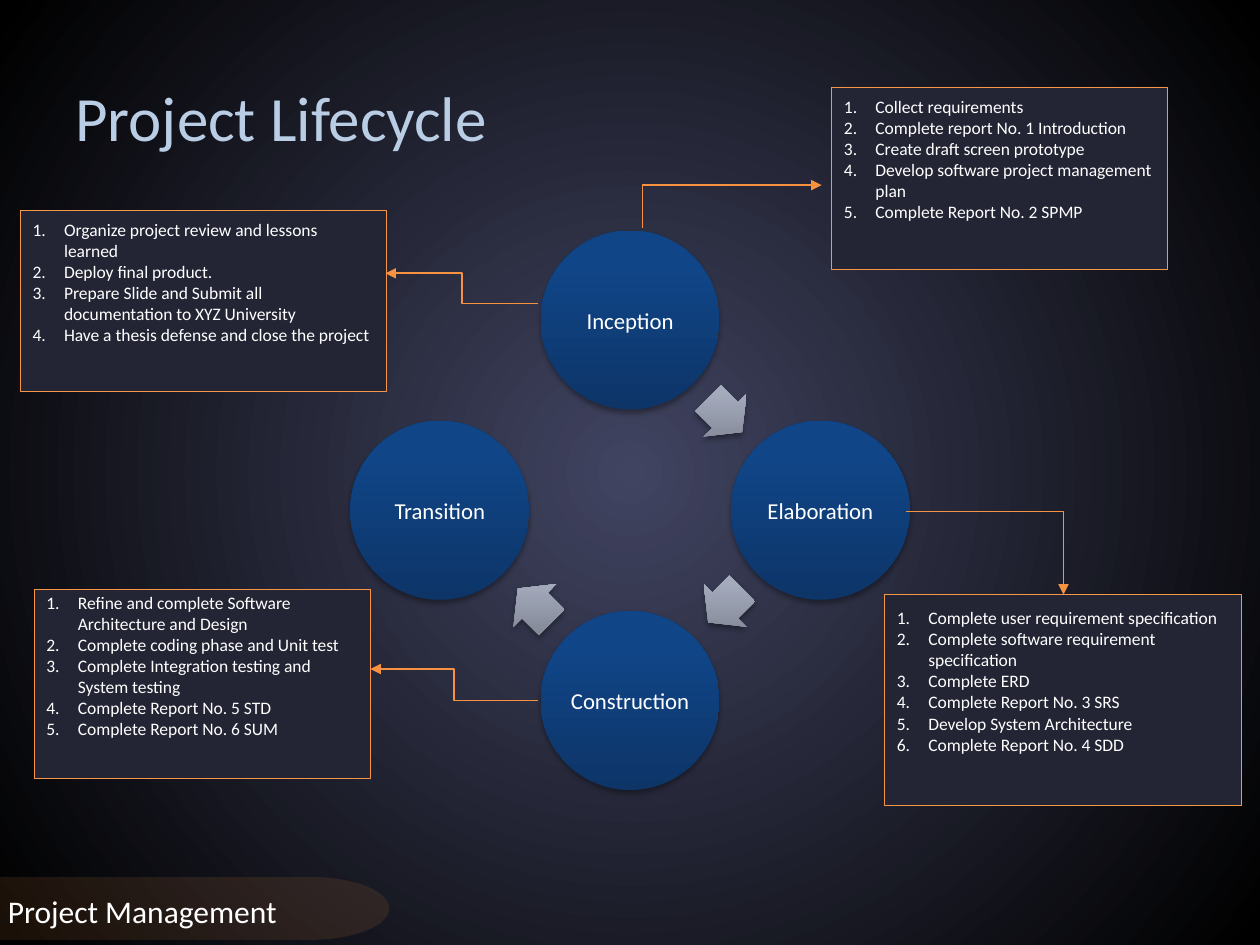
from dataclasses import dataclass
from math import cos, radians, sin

from lxml.etree import SubElement
from pptx import Presentation
from pptx.dml.color import RGBColor
from pptx.enum.shapes import MSO_CONNECTOR, MSO_SHAPE
from pptx.enum.text import MSO_ANCHOR, PP_ALIGN
from pptx.oxml.ns import qn
from pptx.util import Inches, Pt


@dataclass(frozen=True)
class Theme:
    font: str = "Calibri"
    white: str = "FFFFFF"
    title: str = "B9CDE5"
    panel: str = "232534"
    edge: str = "F79646"
    link: str = "F69240"
    back: tuple = ((0, "414461"), (99, "000000"))
    disc: tuple = ((0, "0D3568"), (80, "104587"), (100, "0E458A"))
    arrow: tuple = ((0, "7E8391"), (80, "A4ABBC"), (100, "A4ABBE"))
    big: int = 36
    mid: int = 18
    node: int = 13
    small: int = 10


THEME = Theme()


def apply(item, values):
    for name, value in values.items():
        setattr(item, name, value)


def add(parent, tag, **attrs):
    return SubElement(parent, qn(tag), {k: str(v) for k, v in attrs.items()})


def inch(*sizes):
    return [Inches(size) for size in sizes]


def write(shape, lines, size, color=THEME.white, align=PP_ALIGN.CENTER, **frame):
    """Put one paragraph per line in the shape."""
    text = shape.text_frame
    apply(text, {"word_wrap": True, "vertical_anchor": MSO_ANCHOR.MIDDLE, **frame})
    text.text = "\n".join(lines)
    for para in text.paragraphs:
        para.alignment = align
        apply(para.font, {"name": THEME.font, "size": Pt(size)})
        para.font.color.rgb = RGBColor.from_string(color)
    return text


def shade(fill, root, stops, radial=False):
    """Give a fill a linear (upward) or radial gradient."""
    fill.gradient()
    grad = next(root.iter(qn("a:gradFill")))
    for child in list(grad):
        grad.remove(child)
    grad.set("rotWithShape", "0")
    group = add(grad, "a:gsLst")
    for pos, color in stops:
        add(add(group, "a:gs", pos=pos * 1000), "a:srgbClr", val=color)
    if radial:
        way = add(grad, "a:path", **{"path": "circle"})
        add(way, "a:fillToRect", **dict.fromkeys("ltrb", 50000))
    else:
        add(grad, "a:lin", ang=270 * 60000, scaled=0)


def draw(slide, kind, box):
    shape = slide.shapes.add_shape(kind, *inch(*box))
    shape.shadow.inherit = False
    shape.line.fill.background()
    return shape


def raised(slide, kind, box, stops):
    """Draw a gradient shape with a soft shadow below it."""
    shape = draw(slide, kind, box)
    shade(shape.fill, shape._element, stops)
    effect = shape._element.spPr.find(qn("a:effectLst"))
    cast = add(effect, "a:outerShdw", blurRad=Pt(3.1), dist=Pt(1.8),
               dir=90 * 60000, rotWithShape=0)
    add(add(cast, "a:srgbClr", val="000000"), "a:alpha", val=35000)
    return shape


def title(slide, box):
    shape = slide.shapes.add_textbox(*inch(*box))
    write(shape, ["Project Lifecycle"], THEME.big, THEME.title, PP_ALIGN.LEFT)


def cycle(slide, box, names):
    """Place discs clockwise from the top, with arrows between them."""
    left, top, width, height = box
    size = 1.42
    ring = (width - size) / 2
    mid_x, mid_y = left + width / 2, top + height / 2
    step = 360 / len(names)
    for i, name in enumerate(names):
        turn = radians(i * step - 90)
        x, y = mid_x + ring * cos(turn), mid_y + ring * sin(turn)
        disc = raised(slide, MSO_SHAPE.OVAL,
                      (x - size / 2, y - size / 2, size, size), THEME.disc)
        inset = Inches(0.02)
        write(disc, [name], THEME.node, word_wrap=False, margin_left=inset,
              margin_right=inset, margin_top=inset, margin_bottom=inset)
    wide, tall = 0.38, 0.48
    reach = ring * cos(radians(step / 2))
    for i in range(len(names) - 1):
        turn = radians((i + 0.5) * step - 90)
        x, y = mid_x + reach * cos(turn), mid_y + reach * sin(turn)
        arrow = raised(slide, MSO_SHAPE.RIGHT_ARROW,
                       (x - wide / 2, y - tall / 2, wide, tall), THEME.arrow)
        arrow.rotation = (i + 0.5) * step
        arrow.adjustments[0], arrow.adjustments[1] = 0.6, 0.5


def panel(slide, box, lines):
    """Draw a bordered box with a numbered list."""
    shape = draw(slide, MSO_SHAPE.RECTANGLE, box)
    shape.fill.solid()
    shape.fill.fore_color.rgb = RGBColor.from_string(THEME.panel)
    shape.line.color.rgb = RGBColor.from_string(THEME.edge)
    shape.line.width = Pt(0.5)
    text = write(shape, lines, THEME.small, align=PP_ALIGN.LEFT,
                 margin_bottom=Inches(0.35))
    indent = Inches(0.25)
    for para in text.paragraphs:
        props = para._p.get_or_add_pPr()
        props.set("marL", str(indent))
        props.set("indent", str(-indent))
        add(props, "a:buFont", typeface="+mj-lt")
        add(props, "a:buAutoNum", type="arabicPeriod")


def link(slide, start, end, bend=0.5):
    """Draw an elbow arrow; a bend of None gives a single corner."""
    line = slide.shapes.add_connector(MSO_CONNECTOR.ELBOW, *inch(*start, *end))
    line.line.color.rgb = RGBColor.from_string(THEME.link)
    line.line.width = Pt(1)
    props = line._element.spPr
    add(props.find(qn("a:ln")), "a:tailEnd", type="triangle")
    add(props, "a:effectLst")
    shape = props.find(qn("a:prstGeom"))
    if bend is None:
        shape.set("prst", "bentConnector2")
    else:
        add(shape.find(qn("a:avLst")), "a:gd", name="adj1",
            fmla=f"val {round(bend * 100000)}")


def footer(slide, box):
    shape = draw(slide, MSO_SHAPE.FLOWCHART_TERMINATOR, box)
    shape.fill.solid()
    shape.fill.fore_color.rgb = RGBColor.from_string(THEME.edge)
    add(next(shape._element.spPr.iter(qn("a:srgbClr"))), "a:alpha", val=11000)
    write(shape, ["Project Management"], THEME.mid, vertical_anchor=MSO_ANCHOR.TOP)


# Each phase: list box, tasks, arrow start, arrow end, bend
PHASES = {
    "Inception": ((6.6, 0.69, 2.67, 1.45), [
        "Collect requirements", "Complete report No. 1 Introduction",
        "Create draft screen prototype",
        "Develop software project management plan",
        "Complete Report No. 2 SPMP"], (5.1, 1.81), (6.52, 1.47), 0),
    "Elaboration": ((7.02, 4.72, 2.83, 1.67), [
        "Complete user requirement specification",
        "Complete software requirement specification", "Complete ERD",
        "Complete Report No. 3 SRS", "Develop System Architecture",
        "Complete Report No. 4 SDD"], (7.19, 4.06), (8.44, 4.72), None),
    "Construction": ((0.27, 4.68, 2.67, 1.5), [
        "Refine and complete Software Architecture and Design",
        "Complete coding phase and Unit test",
        "Complete Integration testing and System testing",
        "Complete Report No. 5 STD",
        "Complete Report No. 6 SUM"], (4.27, 5.56), (2.94, 5.31), 0.5),
    "Transition": ((0.16, 1.67, 2.91, 1.44), [
        "Organize project review and lessons learned", "Deploy final product.",
        "Prepare Slide and Submit all documentation to XYZ University",
        "Have a thesis defense and close the project"],
        (4.27, 2.41), (3.06, 2.17), 0.5),
}


def main():
    deck = Presentation()
    apply(deck, {"slide_width": Inches(10), "slide_height": Inches(7.5)})
    slide = deck.slides.add_slide(deck.slide_layouts[6])
    shade(slide.background.fill, slide._element, THEME.back, radial=True)
    title(slide, (0.5, 0.3, 4, 1.25))
    cycle(slide, (2.78, 1.83, 4.44, 4.44), list(PHASES))
    for box, tasks, start, end, bend in PHASES.values():
        link(slide, start, end, bend)
        panel(slide, box, tasks)
    footer(slide, (-0.83, 6.96, 3.92, 0.5))
    deck.save("out.pptx")


if __name__ == "__main__":
    main()
